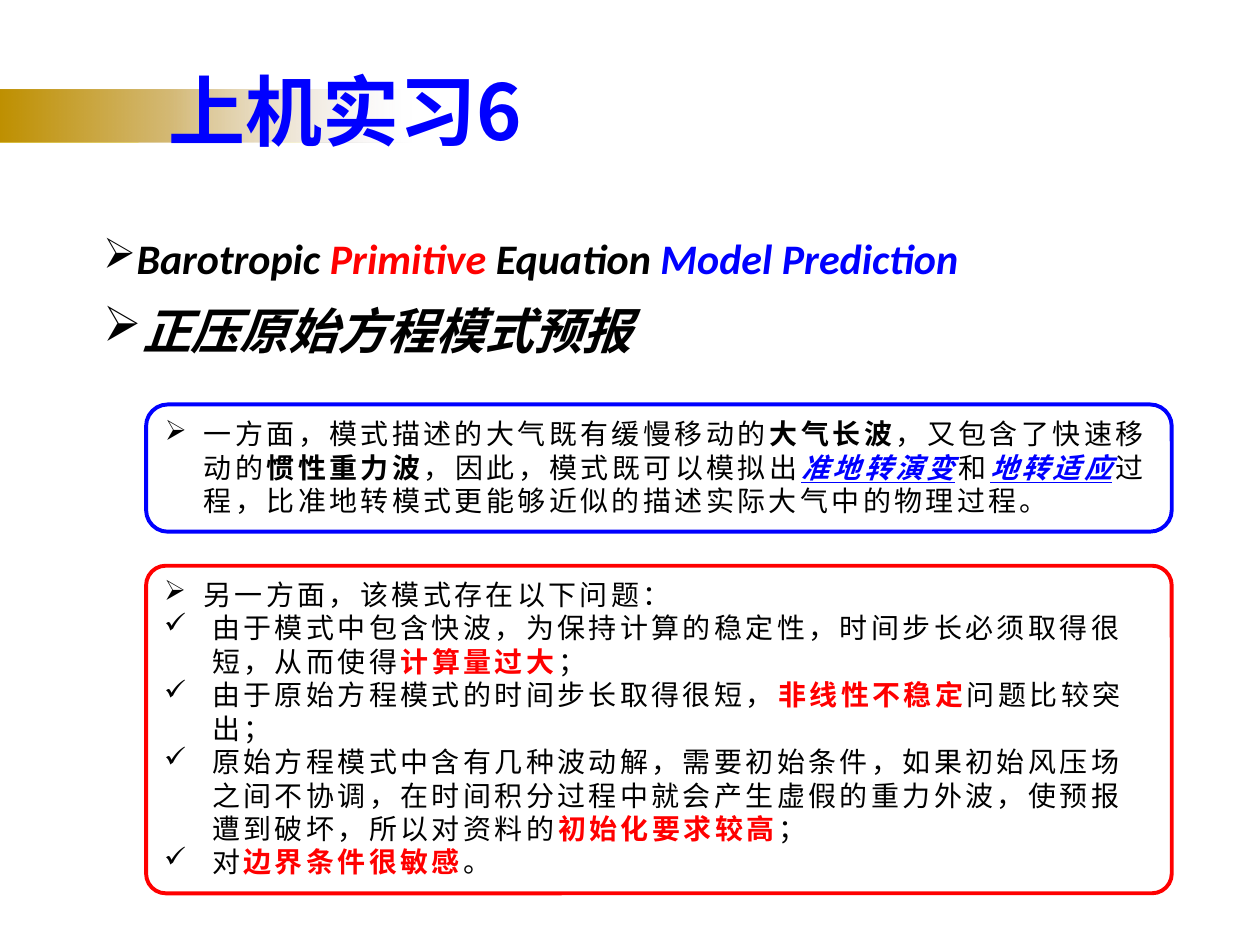
from dataclasses import dataclass

from lxml import etree
from pptx import Presentation
from pptx.dml.color import RGBColor
from pptx.enum.shapes import MSO_SHAPE
from pptx.enum.text import MSO_ANCHOR, MSO_AUTO_SIZE
from pptx.oxml.ns import qn
from pptx.util import Inches, Pt

RECTANGLE = MSO_SHAPE.RECTANGLE
ROUNDED = MSO_SHAPE.ROUNDED_RECTANGLE
TOP, MIDDLE = MSO_ANCHOR.TOP, MSO_ANCHOR.MIDDLE
GROW = MSO_AUTO_SIZE.SHAPE_TO_FIT_TEXT
ARROW, CHECK = "➢", "✓"


@dataclass(frozen=True)
class Theme:
    black: str = "000000"
    blue: str = "0000FF"
    red: str = "FF0000"
    # Position in percent, colour, opacity in percent
    band: tuple = ((0, "BF9000", 100), (41, "D4B974", 100), (100, "E8E2E8", 0))
    latin: str = "Calibri"
    chinese: str = "Noto Sans CJK SC"
    title_size: float = 44
    english_size: float = 24
    topic_size: float = 28
    note_size: float = 16
    note_leading: float = 19.1
    note_tracking: float = 2
    outline: float = 2.25


THEME = Theme()


@dataclass(frozen=True)
class Span:
    text: str
    color: str = THEME.black
    bold: bool = False
    italic: bool = False
    underline: bool = False


@dataclass(frozen=True)
class Style:
    font: str
    size: float
    tracking: float = 0
    line_spacing: object = None
    space_before: float = 0


@dataclass(frozen=True)
class Item:
    spans: tuple
    style: Style
    bullet: str = ""
    indent: float = 0


@dataclass(frozen=True)
class Panel:
    top: float
    height: float
    color: str
    corner: float
    items: tuple


TITLE = Style(THEME.chinese, THEME.title_size, line_spacing=0.9)
ENGLISH = Style(THEME.latin, THEME.english_size, space_before=10)
TOPIC = Style(THEME.latin, THEME.topic_size, space_before=10)
NOTE = Style(THEME.chinese, THEME.note_size, THEME.note_tracking, Pt(THEME.note_leading))


def key(text: str) -> Span:
    return Span(text, THEME.red, bold=True)


def link_term(text: str) -> Span:
    return Span(text, THEME.blue, bold=True, italic=True, underline=True)


def heading(text: str, color: str = THEME.black) -> Span:
    return Span(text, color, bold=True, italic=True)


def point(*spans: Span) -> Item:
    return Item(spans, NOTE, ARROW, 0.31)


def problem(*spans: Span) -> Item:
    return Item(spans, NOTE, CHECK, 0.38)


TITLE_ITEMS = (Item((Span("上机实习6", THEME.blue, bold=True),), TITLE),)

TOPICS = (
    Item((heading("Barotropic "), heading("Primitive", THEME.red),
          heading(" Equation "), heading("Model Prediction", THEME.blue)),
         ENGLISH, ARROW, 0.25),
    Item((heading("正压原始方程模式预报"),), TOPIC, ARROW, 0.25),
)

PANELS = (
    Panel(3.21, 1.01, THEME.blue, 0.17, (
        point(Span("一方面，模式描述的大气既有缓慢移动的"), Span("大气长波", bold=True),
              Span("，又包含了快速移动的"), Span("惯性重力波", bold=True),
              Span("，因此，模式既可以模拟出"), link_term("准地转演变"),
              Span("和"), link_term("地转适应"),
              Span("过程，比准地转模式更能够近似的描述实际大气中的物理过程。")),
    )),
    Panel(4.49, 2.6, THEME.red, 0.06, (
        point(Span("另一方面，该模式存在以下问题：")),
        problem(Span("由于模式中包含快波，为保持计算的稳定性，时间步长必须取得很短，从而使得"),
                key("计算量过大"), Span("；")),
        problem(Span("由于原始方程模式的时间步长取得很短，"),
                key("非线性不稳定"), Span("问题比较突出；")),
        problem(Span("原始方程模式中含有几种波动解，需要初始条件，如果初始风压场之间不协调，"
                     "在时间积分过程中就会产生虚假的重力外波，使预报遭到破坏，所以对资料的"),
                key("初始化要求较高"), Span("；")),
        problem(Span("对"), key("边界条件很敏感"), Span("。")),
    )),
)


def add_span(paragraph, span: Span, style: Style) -> None:
    run = paragraph.add_run()
    run.text = span.text
    font = run.font
    font.size, font.name = Pt(style.size), style.font
    font.bold, font.italic, font.underline = span.bold, span.italic, span.underline
    font.color.rgb = RGBColor.from_string(span.color)
    properties = run._r.get_or_add_rPr()
    if style.tracking:
        properties.set("spc", str(int(style.tracking * 100)))
    etree.SubElement(properties, qn("a:ea")).set("typeface", THEME.chinese)


def write_items(frame, items: tuple, anchor) -> None:
    frame.word_wrap = True
    frame.vertical_anchor = anchor
    for index, item in enumerate(items):
        paragraph = frame.add_paragraph() if index else frame.paragraphs[0]
        paragraph.line_spacing = item.style.line_spacing
        paragraph.space_before = Pt(item.style.space_before)
        properties = paragraph._p.get_or_add_pPr()
        properties.set("algn", "l")
        if item.bullet:
            properties.set("marL", str(Inches(item.indent)))
            properties.set("indent", str(-Inches(item.indent)))
            etree.SubElement(properties, qn("a:buChar")).set("char", item.bullet)
        for span in item.spans:
            add_span(paragraph, span, item.style)


def add_band(slide) -> None:
    band = slide.shapes.add_shape(RECTANGLE, 0, Inches(0.71), Inches(3.27), Inches(0.42))
    band.shadow.inherit = False
    band.line.fill.background()
    band.fill.gradient()
    band.fill.gradient_angle = 0
    stops = band._element.spPr.find(qn("a:gradFill")).find(qn("a:gsLst"))
    for stop in list(stops):
        stops.remove(stop)
    for position, color, opacity in THEME.band:
        stop = etree.SubElement(stops, qn("a:gs"), pos=str(position * 1000))
        tint = etree.SubElement(stop, qn("a:srgbClr"), val=color)
        etree.SubElement(tint, qn("a:alpha"), val=str(opacity * 1000))


def add_text(slide, left: float, top: float, width: float, height: float,
             items: tuple, anchor) -> None:
    box = slide.shapes.add_textbox(Inches(left), Inches(top), Inches(width), Inches(height))
    write_items(box.text_frame, items, anchor)


def add_panel(slide, panel: Panel) -> None:
    box = slide.shapes.add_shape(ROUNDED, Inches(1.16), Inches(panel.top),
                                 Inches(8.14), Inches(panel.height))
    box.adjustments[0] = panel.corner
    box.shadow.inherit = False
    box.fill.background()
    box.line.color.rgb = RGBColor.from_string(panel.color)
    box.line.width = Pt(THEME.outline)
    write_items(box.text_frame, panel.items, TOP)
    box.text_frame.auto_size = GROW


def main() -> None:
    deck = Presentation()
    deck.slide_width, deck.slide_height = Inches(10), Inches(7.5)
    slide = deck.slides.add_slide(deck.slide_layouts[6])

    # Title over its gradient band
    add_band(slide)
    add_text(slide, 1.24, 0.19, 8.62, 1.45, TITLE_ITEMS, MIDDLE)

    # Topic in both languages
    add_text(slide, 0.72, 1.8, 8.58, 5.3, TOPICS, TOP)

    # Strengths and problems of the model
    for panel in PANELS:
        add_panel(slide, panel)

    deck.save("out.pptx")


if __name__ == "__main__":
    main()
